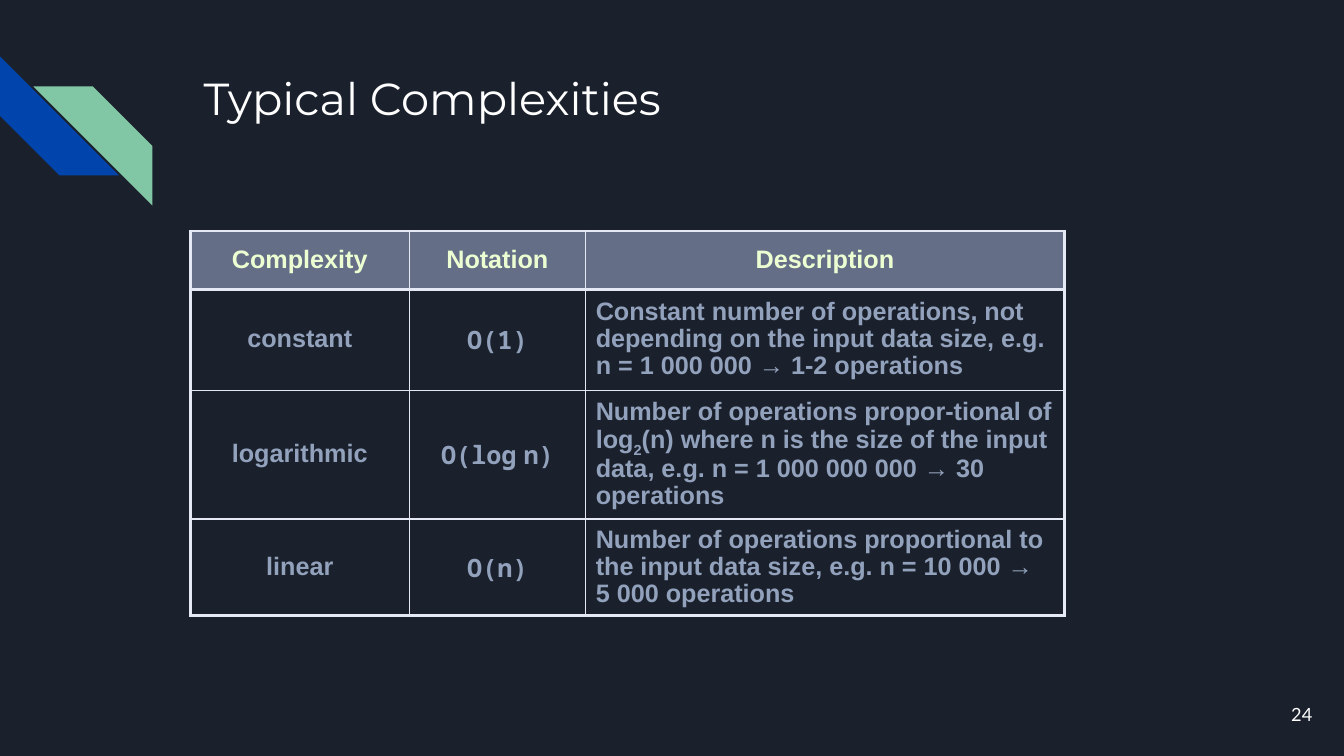
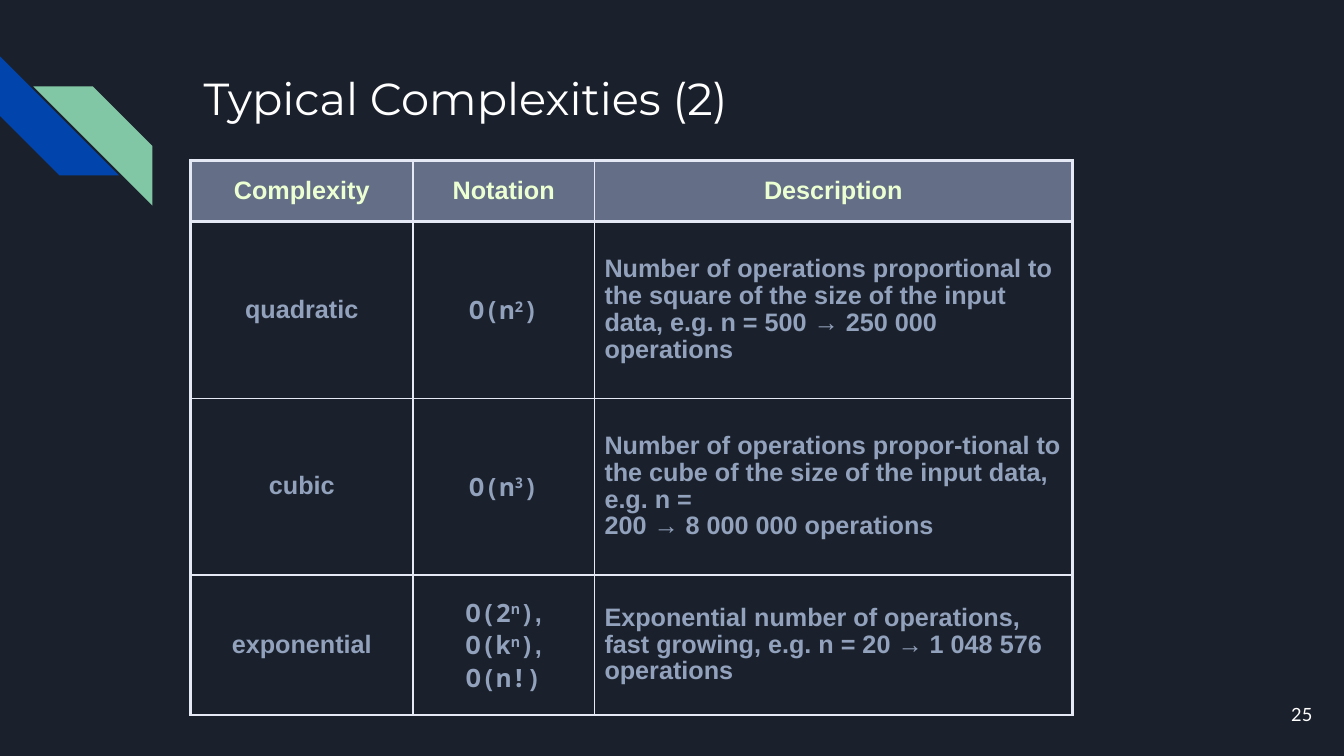
from lxml import etree
from pptx import Presentation
from pptx.dml.color import RGBColor
from pptx.enum.shapes import MSO_SHAPE
from pptx.enum.text import MSO_ANCHOR, PP_ALIGN
from pptx.oxml.ns import qn
from pptx.util import Cm, Pt

STRIPE = MSO_SHAPE.DIAGONAL_STRIPE
TOP, MIDDLE = MSO_ANCHOR.TOP, MSO_ANCHOR.MIDDLE
LEFT, CENTER, RIGHT = PP_ALIGN.LEFT, PP_ALIGN.CENTER, PP_ALIGN.RIGHT

# Theme: colours, line widths and text styles
THEME = {
    "back": "1B212C",
    "blue": "0145AC",
    "green": "82C7A5",
    "band": "AEBCE1",
    "rule": "E4E9F5",
    "thin": Pt(1),
    "thick": Pt(2.25),
    "title": {"name": "Montserrat", "size": Pt(32), "bold": False, "color": "FFFFFF"},
    "number": {"name": "Lato", "size": Pt(13), "bold": False, "color": "FFFFFF"},
    "head": {"name": "Arial", "size": Pt(18), "bold": True, "color": "EBFFD2"},
    "body": {"name": "Arial", "size": Pt(18), "bold": True, "color": "92A1BC"},
    "code": {"name": "Noto Sans Mono", "size": Pt(18), "bold": True, "color": "92A1BC"},
}
PAD = Cm(0.33)
HEADS = ("Complexity", "Notation", "Description")

# Runs are split by "|"; a leading mark makes one lowered, raised or Arial
BASE = {"_": "-25000", "^": "30000"}
PLAIN = "~"

SLIDES = [
    {
        "title": "Typical Complexities",
        "number": 24,
        "top": 5.82,
        "cols": (5.51, 4.45, 12.06),
        "rows": (1.47, 2.54, 3.05, 2.28),
        "cells": [
            ("constant", "O(1)",
             "Constant number of operations, not depending on the input data size, e.g.\n"
             "n = 1 000 000 → 1-2 operations"),
            ("logarithmic", "O(log|~ |n)",
             "Number of operations propor-tional of log|_2|(n) where n is the size "
             "of the input data, e.g. n = 1 000 000 000 → 30 operations"),
            ("linear", "O(n)",
             "Number of operations proportional to the input data size, "
             "e.g. n = 10 000 → 5 000 operations"),
        ],
    },
    {
        "title": "Typical Complexities (2)",
        "number": 25,
        "top": 4.04,
        "cols": (5.61, 4.57, 12.04),
        "rows": (1.55, 4.45, 4.45, 3.53),
        "cells": [
            ("quadratic", "O(n|^2|)",
             "Number of operations proportional to the square of the size of the "
             "input data, e.g. n = 500 → 250 000 operations"),
            ("cubic", "O(n|^3|)",
             "Number of operations propor-tional to the cube of the size of the "
             "input data, e.g. n =\n200 → 8 000 000 operations"),
            ("exponential", "O(2|^n|)|~,\nO(k|^n|)|~,\nO(n!)",
             "Exponential number of operations, fast growing, "
             "e.g. n = 20 → 1 048 576 operations"),
        ],
    },
]


def write(frame, text, style, align, space=1.0):
    """Fill a text frame, one paragraph per line of text."""
    for i, line in enumerate(text.split("\n")):
        par = frame.add_paragraph() if i else frame.paragraphs[0]
        par.alignment, par.line_spacing = align, space
        for part in line.split("|"):
            mark = part[0] if part[0] in (*BASE, PLAIN) else ""
            run = par.add_run()
            run.text = part[len(mark):]
            form = dict(THEME[style])
            run.font.color.rgb = RGBColor.from_string(form.pop("color"))
            if mark == PLAIN:
                form["name"] = "Arial"
            for key, value in form.items():
                setattr(run.font, key, value)
            if mark in BASE:
                run._r.get_or_add_rPr().set("baseline", BASE[mark])


def border(cell, widths):
    """Rule the left, right, top and bottom edges of a cell."""
    props = cell._tc.get_or_add_tcPr()
    for i, (side, width) in enumerate(zip("LRTB", widths)):
        line = etree.Element(qn(f"a:ln{side}"), w=str(width))
        fill = etree.SubElement(line, qn("a:solidFill"))
        etree.SubElement(fill, qn("a:srgbClr"), val=THEME["rule"])
        props.insert(i, line)


deck = Presentation()
deck.slide_width, deck.slide_height = Cm(33.87), Cm(19.05)

# Shared layout: background, title place and corner stripes
layout = deck.slide_layouts.get_by_name("Title Only")
layout.background.fill.solid()
layout.background.fill.fore_color.rgb = RGBColor.from_string(THEME["back"])
place = {"left": Cm(4.8), "top": Cm(1.45), "width": Cm(26.06), "height": Cm(3.38)}
for key, value in place.items():
    setattr(layout.placeholders[0], key, value)

slides = [deck.slides.add_slide(layout) for _ in SLIDES]
for left, top, color, turn, flip in (
    (0, 1.42, "blue", 270, "0"),
    (0.84, 2.18, "green", 0, "1"),
):
    stripe = slides[0].shapes.add_shape(STRIPE, Cm(left), Cm(top), Cm(3), Cm(3))
    stripe.shadow.inherit = False
    stripe.rotation = turn
    stripe.fill.solid()
    stripe.fill.fore_color.rgb = RGBColor.from_string(THEME[color])
    stripe.line.fill.background()
    stripe.element.spPr.find(qn("a:xfrm")).set("flipH", flip)
    layout.shapes.element.append(stripe.element)

for slide, data in zip(slides, SLIDES):
    # Title and slide number
    box = slide.shapes.add_textbox(Cm(31.37), Cm(17.27), Cm(2.03), Cm(1.45))
    for frame, text, style, align, anchor in (
        (slide.shapes.title.text_frame, data["title"], "title", LEFT, TOP),
        (box.text_frame, str(data["number"]), "number", RIGHT, MIDDLE),
    ):
        frame.word_wrap = True
        frame.vertical_anchor = anchor
        for side in ("left", "right", "top", "bottom"):
            setattr(frame, f"margin_{side}", PAD)
        write(frame, text, style, align)

    # Table grid
    cols, rows = data["cols"], data["rows"]
    table = slide.shapes.add_table(
        len(rows), len(cols), Cm(4.8), Cm(data["top"]), Cm(sum(cols)), Cm(sum(rows))
    ).table
    table.first_row = table.horz_banding = False
    for col, width in zip(table.columns, cols):
        col.width = Cm(width)
    for row, height in zip(table.rows, rows):
        row.height = Cm(height)

    # Cells: thick rules round the table and under the heads
    for r, texts in enumerate([HEADS, *data["cells"]]):
        for c, text in enumerate(texts):
            cell = table.cell(r, c)
            cell.vertical_anchor = MIDDLE
            if r == 0:
                cell.fill.solid()
                cell.fill.fore_color.rgb = RGBColor.from_string(THEME["band"])
                tint = cell._tc.tcPr.find(".//" + qn("a:srgbClr"))
                etree.SubElement(tint, qn("a:alpha"), val="50000")
            else:
                cell.fill.background()
            style = "head" if r == 0 else "code" if c == 1 else "body"
            align = LEFT if r and c == 2 else CENTER
            write(cell.text_frame, text, style, align, 0.95)
            edges = (c == 0, c == len(cols) - 1, r < 2, r in (0, len(rows) - 1))
            border(cell, [THEME["thick" if edge else "thin"] for edge in edges])

deck.save("out.pptx")
